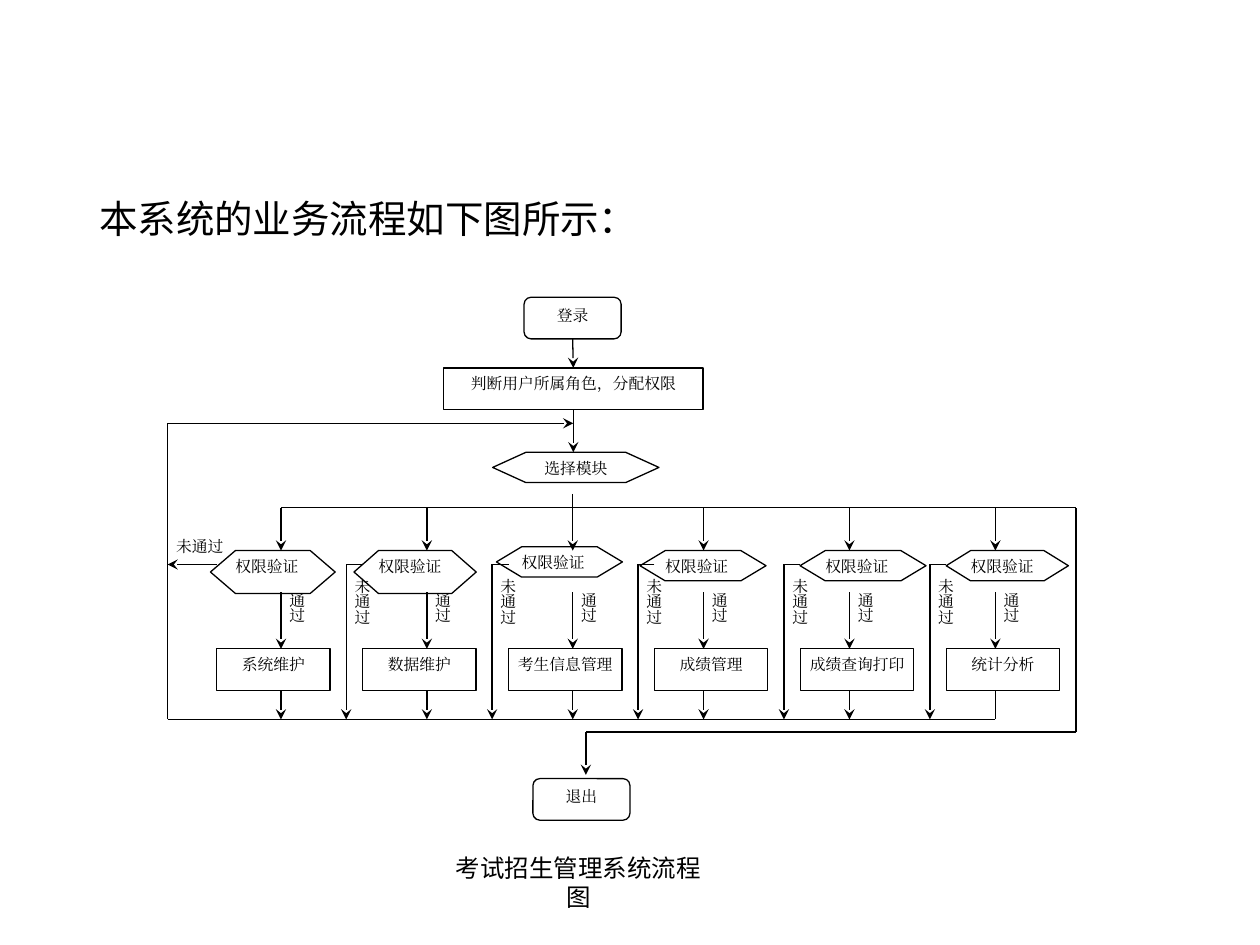
import pptx
import pptx.dml.color
import pptx.enum.shapes
import pptx.enum.text
import pptx.oxml
import pptx.util

Inches = pptx.util.Inches
Pt = pptx.util.Pt
SHAPE = pptx.enum.shapes.MSO_SHAPE
ALIGN = pptx.enum.text.PP_ALIGN
ANCHOR = pptx.enum.text.MSO_ANCHOR
FIT = pptx.enum.text.MSO_AUTO_SIZE
BLACK = pptx.dml.color.RGBColor(0, 0, 0)
WHITE = pptx.dml.color.RGBColor(255, 255, 255)
BODY_FONT = "Times New Roman"

TITLE = "本系统的业务流程如下图所示："
CAPTION = "考试招生管理系统流程图"
CHECK, PASSED, FAILED = "权限验证", "通过", "未通过"

# Module name, side inset, and its permission check: left, top, width, height
MODULES = [
    ("系统维护", 0.09, (1.67, 4.37, 0.99, 0.34)),
    ("数据维护", 0.09, (2.81, 4.37, 0.97, 0.34)),
    ("考生信息管理", 0, (3.94, 4.34, 1, 0.24)),
    ("成绩管理", 0.09, (5.08, 4.37, 1, 0.24)),
    ("成绩查询打印", 0, (6.35, 4.37, 1, 0.24)),
    ("统计分析", 0.09, (7.51, 4.37, 0.97, 0.24)),
]

FIRST_LEFT, LAST_LEFT = 1.72, 7.51
PITCH = (LAST_LEFT - FIRST_LEFT) / (len(MODULES) - 1)
MODULE_TOP, MODULE_W, BOX_H = 5.15, 0.9, 0.33
MAIN_X, LOOP_X, EXIT_X = 4.55, 1.33, 8.54
LOOP_Y, SPLIT_Y, CHECK_Y, FAIL_Y, PASS_Y = 3.36, 4.03, 4.37, 4.48, 4.7
MERGE_Y, EXIT_Y = 5.71, 5.81

prs = pptx.Presentation()
prs.slide_width, prs.slide_height = Inches(10), Inches(7.5)
slide = prs.slides.add_slide(prs.slide_layouts[6])


def write(sp, text, size=9, font=BODY_FONT, align=ALIGN.CENTER,
          inset=(0.09, 0.05), anchor=ANCHOR.TOP):
    tf = sp.text_frame
    tf.word_wrap = True
    tf.vertical_anchor = anchor
    tf.margin_left = tf.margin_right = Inches(inset[0])
    tf.margin_top = tf.margin_bottom = Inches(inset[1])
    p = tf.paragraphs[0]
    p.alignment = align
    r = p.add_run()
    r.text = text
    r.font.size = Pt(size)
    r.font.name = font
    r.font.color.rgb = BLACK
    ea = pptx.oxml.parse_xml(
        '<a:ea xmlns:a="http://schemas.openxmlformats.org/drawingml/2006/main"'
        f' typeface="{font}"/>')
    r.font._element.append(ea)
    return tf


def add_text(shapes, at, text, **style):
    return write(shapes.add_textbox(*map(Inches, at)), text, **style)


def add_box(shapes, kind, at, text, **style):
    sp = shapes.add_shape(kind, *map(Inches, at))
    sp.shadow.inherit = False
    sp.fill.solid()
    sp.fill.fore_color.rgb = WHITE
    sp.line.color.rgb = BLACK
    sp.line.width = Pt(0.75)
    write(sp, text, **style)
    return sp


def add_hexagon(shapes, at, text, align):
    sp = add_box(shapes, SHAPE.FLOWCHART_PREPARATION, at, text,
                 align=align, inset=(0, 0.05))
    if at[3] < 0.3:
        sp.text_frame.auto_size = FIT.SHAPE_TO_FIT_TEXT


def add_line(shapes, x1, y1, x2, y2, arrow=False):
    ln = shapes.add_connector(pptx.enum.shapes.MSO_CONNECTOR.STRAIGHT,
                              *map(Inches, (x1, y1, x2, y2)))
    ln.line.color.rgb = BLACK
    ln.line.width = Pt(0.75)
    props = ln._element.spPr
    if arrow:
        tail = props.find(pptx.oxml.ns.qn("a:ln")).makeelement(
            pptx.oxml.ns.qn("a:tailEnd"), {"type": "stealth"})
        props.find(pptx.oxml.ns.qn("a:ln")).append(tail)
    props.append(props.makeelement(pptx.oxml.ns.qn("a:effectLst"), {}))
    return ln


def add_vertical_label(shapes, x, y, text):
    tf = add_text(shapes, (x, y, 0.2, 0.45), text, inset=(0, 0))
    tf._txBody.bodyPr.set("vert", "eaVert")


add_text(slide.shapes, (0.69, 1.5, 8.5, 5.17), TITLE, size=22,
         font="Noto Sans CJK KR", align=ALIGN.LEFT, inset=(0.1, 0.05))

flow = slide.shapes.add_group_shape().shapes

# Main stem
login = add_box(flow, SHAPE.ROUNDED_RECTANGLE, (4.16, 2.36, 0.77, BOX_H), "登录")
role = add_box(flow, SHAPE.RECTANGLE, (3.52, 2.92, 2.06, BOX_H),
               "判断用户所属角色，分配权限")
add_box(flow, SHAPE.ROUNDED_RECTANGLE, (4.23, 6.18, 0.77, BOX_H), "退出")
add_hexagon(flow, (3.91, 3.59, 1.32, 0.24), "选择模块", ALIGN.CENTER)
step = add_line(flow, MAIN_X, 2.69, MAIN_X, 2.92, arrow=True)
step.begin_connect(login, 2)
step.end_connect(role, 0)
add_line(flow, MAIN_X, 3.25, MAIN_X, 3.59, arrow=True).begin_connect(role, 2)

# One column per module
for i, (name, side, check) in enumerate(MODULES):
    left = FIRST_LEFT + i * PITCH
    x = left + (0.51 if i < 3 else 0.39)
    last = i == len(MODULES) - 1
    add_box(flow, SHAPE.FLOWCHART_PROCESS, (left, MODULE_TOP, MODULE_W, BOX_H),
            name, inset=(side, 0.05))
    add_hexagon(flow, check, CHECK, ALIGN.JUSTIFY)
    add_line(flow, x, 3.92 if x - MAIN_X < 0.1 and i == 2 else SPLIT_Y,
             x, CHECK_Y, arrow=True)
    add_line(flow, x, PASS_Y, x, MODULE_TOP, arrow=True)
    add_line(flow, x, MODULE_TOP + BOX_H, x, MERGE_Y, arrow=not last)
    add_vertical_label(flow, x, PASS_Y, PASSED)
    if i == 0:
        add_line(flow, left, FAIL_Y, LOOP_X, FAIL_Y, arrow=True)
        add_text(flow, (LOOP_X, 4.26, 0.51, 0.22), FAILED, inset=(0, 0))
    else:
        fail_x = left - 0.13
        add_line(flow, left, FAIL_Y, fail_x, FAIL_Y)
        add_line(flow, fail_x, FAIL_Y, fail_x, MERGE_Y, arrow=True)
        add_vertical_label(flow, fail_x, 4.59, FAILED)

# Shared lines: split, return loop and exit
first_x, last_x = FIRST_LEFT + 0.51, LAST_LEFT + 0.39
for ends, arrow in [
    ((first_x, SPLIT_Y, EXIT_X, SPLIT_Y), False),
    ((last_x, MERGE_Y, LOOP_X, MERGE_Y), False),
    ((LOOP_X, MERGE_Y, LOOP_X, LOOP_Y), False),
    ((LOOP_X, LOOP_Y, MAIN_X, LOOP_Y), True),
    ((EXIT_X, SPLIT_Y, EXIT_X, EXIT_Y), False),
    ((EXIT_X, EXIT_Y, 4.65, EXIT_Y), False),
    ((4.65, EXIT_Y, 4.65, 6.15), True),
]:
    add_line(flow, *ends, arrow=arrow)

caption = add_text(slide.shapes, (3.42, 6.83, 2.34, 0.34), CAPTION, size=14,
                   font="Noto Sans CJK SC", inset=(0.1, 0.05),
                   anchor=ANCHOR.MIDDLE)
caption.word_wrap = False
caption.auto_size = FIT.SHAPE_TO_FIT_TEXT

prs.save("out.pptx")
